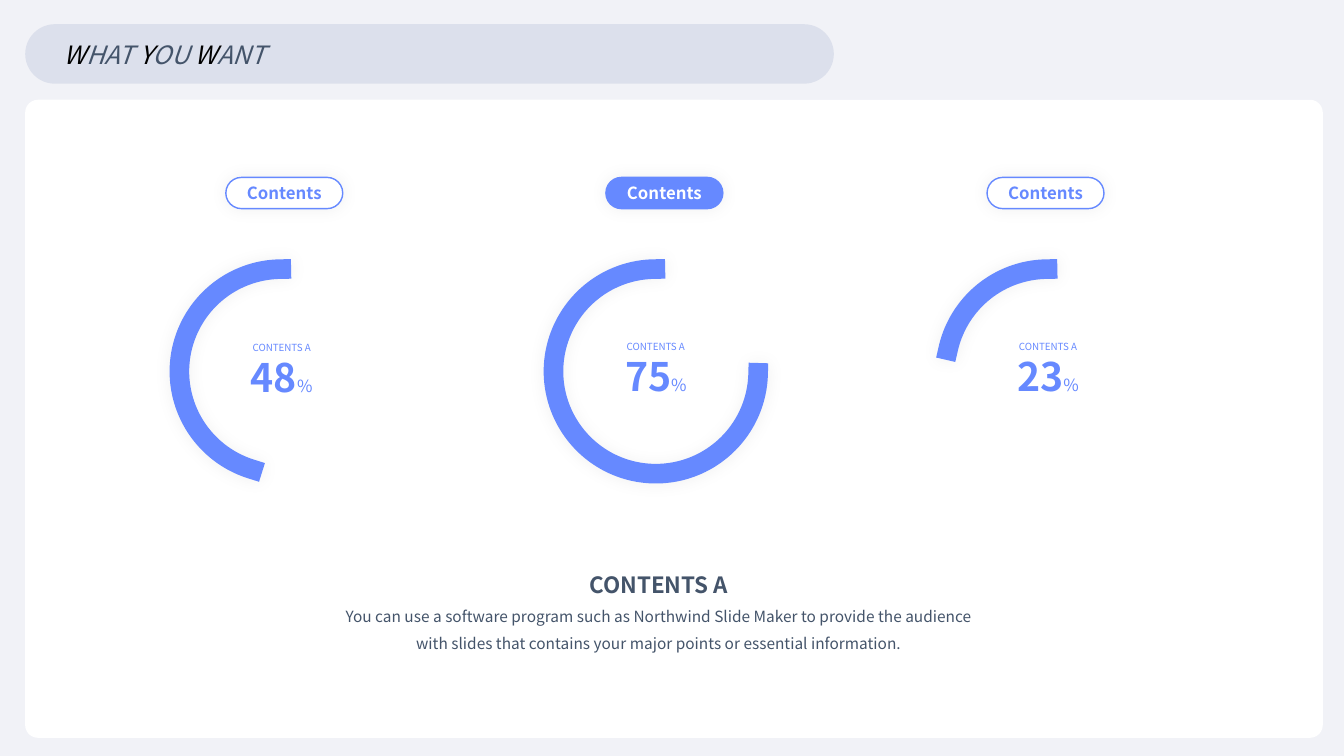
"""Build a slide with three percentage dials and a caption."""
import pptx
import pptx.dml.color
import pptx.enum.shapes
import pptx.enum.text
import pptx.oxml
import pptx.oxml.ns
import pptx.util

Inches = pptx.util.Inches
Pt = pptx.util.Pt
KIND = pptx.enum.shapes.MSO_SHAPE
ALIGN = pptx.enum.text.PP_ALIGN
HUES = {"page": "F1F2F7", "card": "FFFFFF", "bar": "DCE0EC",
        "blue": "6689FF", "slate": "44546A", "black": "000000"}


class Deck:
    def __init__(self, font):
        self.font = font
        self.file = pptx.Presentation()
        self.file.slide_width = Inches(13.33)
        self.file.slide_height = Inches(7.5)
        self.slide = self.file.slides.add_slide(self.file.slide_layouts[6])
        self.paint(self.slide.background.fill, "page")

    def hue(self, name):
        return pptx.dml.color.RGBColor.from_string(HUES[name])

    def paint(self, fill, name):
        fill.solid()
        fill.fore_color.rgb = self.hue(name)

    def shape(self, kind, box, adjust, fill=None, line=None, glow=False):
        item = self.slide.shapes.add_shape(kind, *map(Inches, box))
        for spot, value in enumerate(adjust):
            item.adjustments[spot] = value
        if fill:
            self.paint(item.fill, fill)
        else:
            item.fill.background()
        if line:
            item.line.color.rgb = self.hue("blue")
            item.line.width = Pt(line)
        else:
            item.line.fill.background()
        item.shadow.inherit = False
        if glow:
            self.glow(item)
        return item

    def glow(self, item):
        ns = pptx.oxml.ns
        holder = item._element.spPr.find(ns.qn("a:effectLst"))
        holder.append(pptx.oxml.parse_xml(
            f'<a:outerShdw {ns.nsdecls("a")} blurRad="{Pt(12)}" dist="0" dir="0" '
            f'algn="ctr" rotWithShape="0"><a:srgbClr val="{HUES["black"]}">'
            '<a:alpha val="5000"/></a:srgbClr></a:outerShdw>'))

    def label(self, item, lines, align=ALIGN.CENTER, space=None, wrap=False):
        frame = item.text_frame
        frame.word_wrap = wrap
        for count, runs in enumerate(lines):
            para = frame.add_paragraph() if count else frame.paragraphs[0]
            para.alignment = align
            if space:
                para.line_spacing = space
            for text, size, color, bold in runs:
                run = para.add_run()
                run.text = text
                run.font.name = self.font
                run.font.size = Pt(size)
                run.font.bold = bold
                run.font.color.rgb = self.hue(color)
        return frame

    def title(self, box, words):
        bar = self.shape(KIND.ROUNDED_RECTANGLE, box, [0.5], "bar")
        runs = []
        for word in words:
            runs += [(word[0], 18, "black", False), (word[1:], 18, "slate", False)]
        para = self.label(bar, [runs], ALIGN.LEFT, wrap=True).paragraphs[0]
        para._p.get_or_add_pPr().set("marL", str(Inches(0.2)))
        for run in para.runs:
            run.font.italic = True

    def pill(self, left, fill, color):
        item = self.shape(KIND.ROUNDED_RECTANGLE, (left, 1.76, 1.16, 0.31),
                          [0.5], fill, 1, True)
        self.label(item, [[("Contents", 12, color, True)]])

    def dial(self, left, top, start, value):
        ring = self.shape(KIND.DONUT, (left, top, 2.27, 2.27), [0.092], "card")
        self.label(ring, [[("CONTENTS A", 7, "blue", False)],
                          [(value, 28, "blue", True), ("%", 12, "blue", False)]])
        turn = [angle * 0.6 for angle in (start, 269.74)]
        arc = self.shape(KIND.ARC, (left + 0.12, 2.67, 2.03, 2.03), turn,
                         line=14, glow=True)
        arc.line._ln.set("cap", "sq")

    def note(self, box, head, body):
        item = self.slide.shapes.add_textbox(*map(Inches, box))
        frame = self.label(item, [[(head, 16, "slate", True)],
                                  [(body, 11, "slate", False)]], space=1.5, wrap=True)
        frame.auto_size = pptx.enum.text.MSO_AUTO_SIZE.SHAPE_TO_FIT_TEXT


def main():
    deck = Deck("Noto Sans CJK KR")
    deck.shape(KIND.ROUNDED_RECTANGLE, (0.25, 0.99, 12.87, 6.33), [0.02], "card")
    deck.title((0.25, 0.24, 8.02, 0.59), ["WHAT ", "YOU ", "WANT"])
    for left, fill, color in [(2.24, "card", "blue"), (6.01, "blue", "card"),
                              (9.79, "card", "blue")]:
        deck.pill(left, fill, color)
    for left, top, start, value in [(1.66, 2.55, 106.53, "48"),
                                    (5.37, 2.54, 0.8, "75"),
                                    (9.26, 2.54, 191.97, "23")]:
        deck.dial(left, top, start, value)
    deck.note((3.2, 5.48, 6.67, 1.06), "CONTENTS A",
              "You can use a software program such as Northwind Slide Maker to provide "
              "the audience with slides that contains your major points or essential "
              "information.")
    deck.file.save("out.pptx")


if __name__ == "__main__":
    main()
